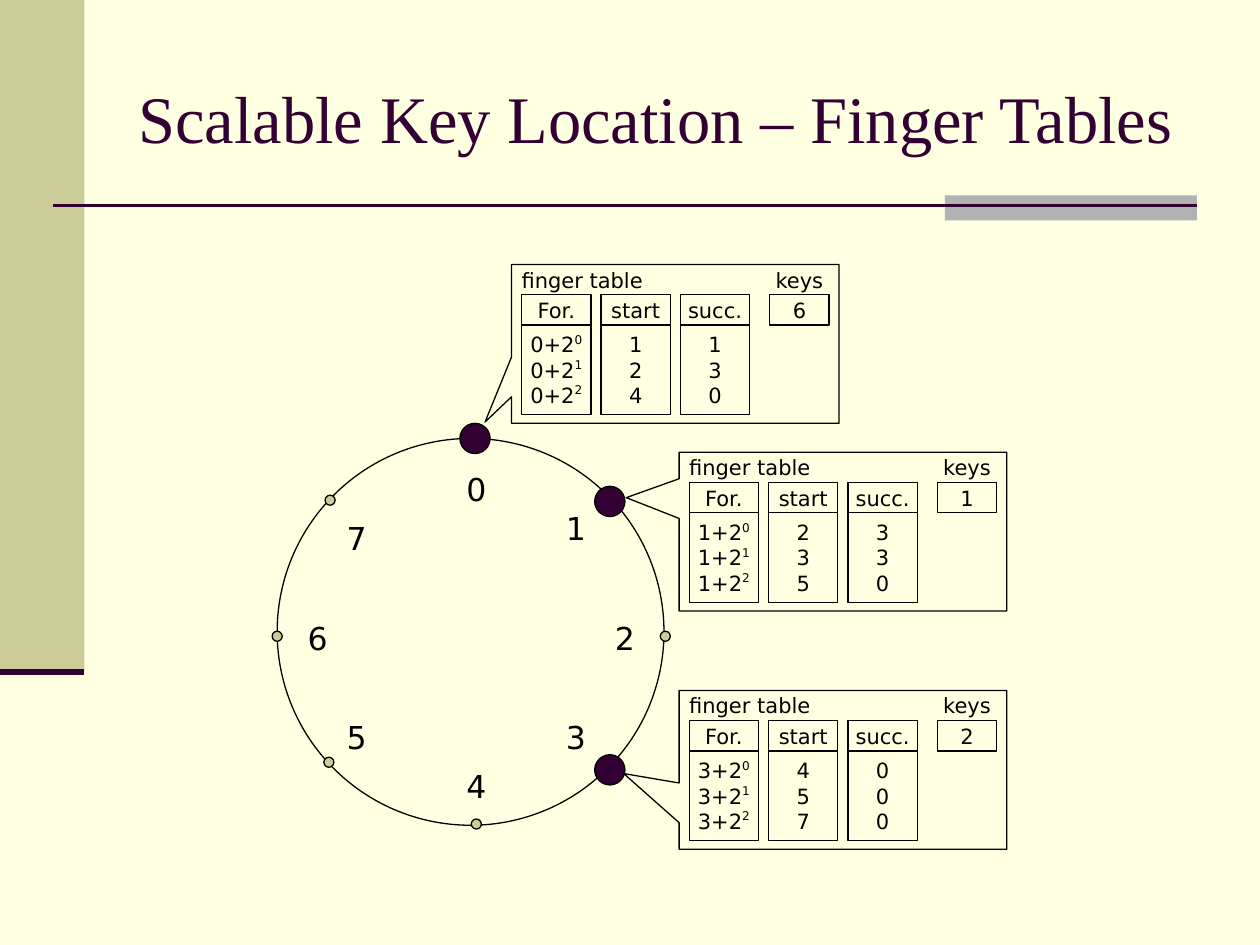
"""Build the slide on finger tables in a ring of eight nodes."""
from lxml import etree
from pptx import Presentation
from pptx import util as u
from pptx.dml.color import RGBColor
from pptx.enum import shapes, text
from pptx.oxml import ns

W, H = 10, 7.5
THEME = {
    "paper": "FFFFE1", "ink": "000000", "accent": "330033", "sand": "CCCC99", "gray": "B2B2B2",
    "serif": "Times New Roman", "sans": "DejaVu Sans",
    "title": 38, "label": 18, "body": 12, "thin": 0.75, "rule": 1.5, "bar": 3.5,
}

TITLE = "Scalable Key Location – Finger Tables"
CAPTION, KEYS = "finger table", "keys"
HEADERS = ("For.", "start", "succ.")

RING = (2.2, 3.48, 3.07, 3.07)
DOT, NODE = 0.08, 0.24
NODES = [
    {"dot": (3.77, 3.48), "label": (3.78, 3.88)},
    {"dot": (4.84, 3.98), "label": (4.57, 4.19)},
    {"dot": (5.28, 5.05), "label": (4.96, 5.06)},
    {"dot": (4.84, 6.11), "label": (4.57, 5.85)},
    {"dot": (3.78, 6.54), "label": (3.78, 6.24)},
    {"dot": (2.61, 6.05), "label": (2.83, 5.85)},
    {"dot": (2.20, 5.05), "label": (2.52, 5.06)},
    {"dot": (2.62, 3.97), "label": (2.83, 4.27)},
]
TABLES = [
    {"node": 0, "at": (4.06, 2.10), "tip": (3.85, 3.35), "start": "124", "succ": "130", "key": "6"},
    {"node": 1, "at": (5.39, 3.59), "tip": (4.97, 3.95), "start": "235", "succ": "330", "key": "1"},
    {"node": 3, "at": (5.39, 5.48), "tip": (4.95, 6.14), "start": "457", "succ": "000", "key": "2"},
]
CARD_W, CARD_H = 2.6, 1.26
PAD, COL_W, PITCH = 0.08, 0.55, 0.63
KEY_X, KEY_W = 2.05, 0.47
ROW_H, BODY_H = 0.24, 0.71

prs = Presentation()
prs.slide_width, prs.slide_height = u.Inches(W), u.Inches(H)
s = prs.slides.add_slide(prs.slide_layouts[6])


def color(name):
    return RGBColor.from_string(THEME[name])


def write(sp, lines, size="body", font="sans", ink="ink", align="CENTER", inset=0):
    tf = sp.text_frame
    tf.word_wrap = True
    tf.vertical_anchor = text.MSO_ANCHOR.MIDDLE
    tf.margin_left = tf.margin_right = u.Inches(inset)
    tf.margin_top = tf.margin_bottom = 0
    for i, line in enumerate(lines):
        p = tf.paragraphs[0] if i == 0 else tf.add_paragraph()
        p.alignment = getattr(text.PP_ALIGN, align)
        for j, part in enumerate(line.split("^")):
            r = p.add_run()
            r.text = part
            r.font.size, r.font.name = u.Pt(THEME[size]), THEME[font]
            r.font.color.rgb = color(ink)
            if j:
                r._r.get_or_add_rPr().set("baseline", "40000")


def textbox(box, lines, **fmt):
    write(s.shapes.add_textbox(*map(u.Inches, box)), lines, **fmt)


def shape(box, kind="RECTANGLE", fill=None, line="ink"):
    sp = s.shapes.add_shape(getattr(shapes.MSO_SHAPE, kind), *map(u.Inches, box))
    sp.shadow.inherit = False
    if fill:
        sp.fill.solid()
        sp.fill.fore_color.rgb = color(fill)
    else:
        sp.fill.background()
    if line:
        sp.line.color.rgb, sp.line.width = color(line), u.Pt(THEME["thin"])
    else:
        sp.line.fill.background()
    return sp


def rule(x1, x2, y, width):
    c = s.shapes.add_connector(shapes.MSO_CONNECTOR.STRAIGHT, *map(u.Inches, (x1, y, x2, y)))
    c.line.color.rgb, c.line.width = color("accent"), u.Pt(THEME[width])
    etree.SubElement(c._element.spPr, ns.qn("a:effectLst"))


def centered(center, w, h):
    return center[0] - w / 2, center[1] - h / 2, w, h


def finger_table(table):
    x, y = table["at"]
    head_y, body_y = y + ROW_H, y + 2 * ROW_H
    card = shape((x, y, CARD_W, CARD_H), "RECTANGULAR_CALLOUT")
    card.adjustments[0] = (table["tip"][0] - x) / CARD_W - 0.5
    card.adjustments[1] = (table["tip"][1] - y) / CARD_H - 0.5
    textbox((x + PAD, y, 3 * COL_W, ROW_H), [CAPTION], align="LEFT")
    textbox((x + KEY_X, y, KEY_W, ROW_H), [KEYS])
    write(shape((x + KEY_X, head_y, KEY_W, ROW_H)), [table["key"]])
    formulas = [f"{table['node']}+2^{i}" for i in range(3)]
    for i, (header, rows) in enumerate(zip(HEADERS, (formulas, table["start"], table["succ"]))):
        col_x = x + PAD + i * PITCH
        write(shape((col_x, head_y, COL_W, ROW_H)), [header])
        write(shape((col_x, body_y, COL_W, BODY_H)), rows)


s.background.fill.solid()
s.background.fill.fore_color.rgb = color("paper")
shape((0, 0, 0.67, 5.33), fill="sand", line=None)
shape((0.75 * W, 1.55, 0.2 * W, 0.2), fill="gray", line=None)
rule(0.42, 0.95 * W, 1.63, "rule")
rule(0, 0.67, 5.33, "bar")
textbox((1, 0.3, 8.5, 1.25), [TITLE], size="title", font="serif", ink="accent",
        align="LEFT", inset=0.1)

shape(RING, "OVAL")
active = {table["node"] for table in TABLES}
for n, node in enumerate(NODES):
    d, fill = (NODE, "accent") if n in active else (DOT, "sand")
    shape(centered(node["dot"], d, d), "OVAL", fill)
    textbox(centered(node["label"], 0.32, 0.31), [str(n)], size="label")
for table in TABLES:
    finger_table(table)

prs.save("out.pptx")
